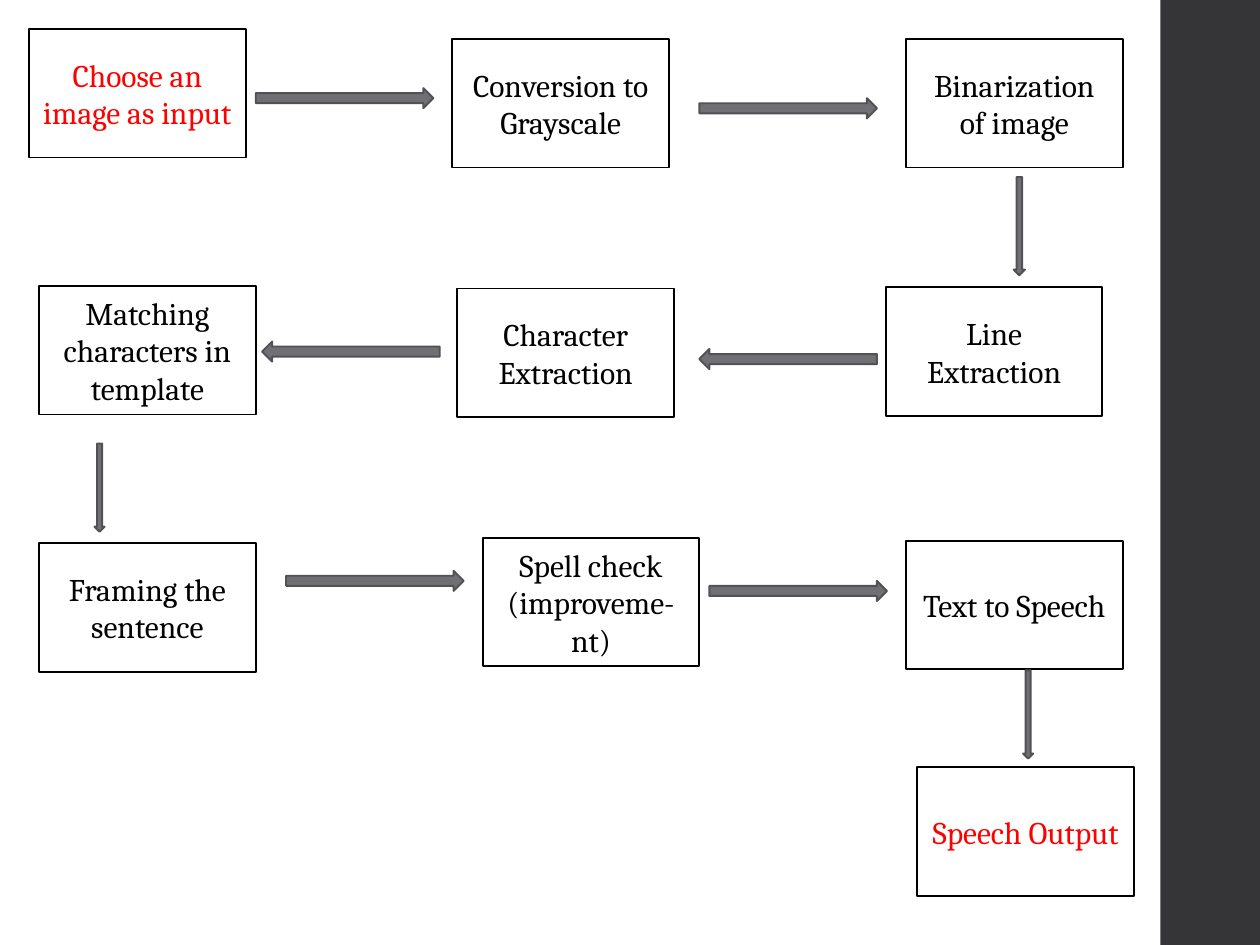
from pptx import Presentation
from pptx import util as u
from pptx.dml.color import RGBColor
from pptx.enum import shapes, text

WIDTH, HEIGHT = u.Inches(10), u.Inches(7.5)
BOX_SIZE = (17.2, 13.6)
LONG, SHORT, ENTRY = (14.1, 2.13), (7, 1.07), (7.8, 1.2)
RIGHT, DOWN, LEFT = 0, 90, 180
BLACK, RED = "000000", "FF0000"

STEPS = [
    (2.3, 3.07, ["Choose an image as input"], RED),
    (35.9, 4.13, ["Conversion to Grayscale"], BLACK),
    (71.9, 4.13, ["Binarization of image"], BLACK),
    (70.3, 30.4, ["Line Extraction"], BLACK),
    (36.3, 30.53, ["Character Extraction"], BLACK),
    (3.1, 30.27, ["Matching characters in template"], BLACK),
    (3.1, 57.47, ["Framing the sentence"], BLACK),
    (38.3, 56.93, ["Spell check", "(improveme-nt)"], BLACK),
    (71.9, 57.2, ["Text to Speech"], BLACK),
    (72.8, 81.2, ["Speech Output"], RED),
]
ARROWS = [
    (20.3, 9.33, LONG, RIGHT),
    (55.5, 10.4, LONG, RIGHT),
    (77, 23.33, ENTRY, DOWN),
    (55.5, 36.93, LONG, LEFT),
    (20.8, 36.13, LONG, LEFT),
    (4.4, 51.07, SHORT, DOWN),
    (22.7, 60.4, LONG, RIGHT),
    (56.3, 61.47, LONG, RIGHT),
    (78.1, 75.07, SHORT, DOWN),
]


def color(value):
    """Turn a hex string into a colour."""
    return RGBColor.from_string(value)


def add_shape(s, kind, x, y, size, fill, line=None):
    """Add a flat shape placed in percent of the slide's width and height."""
    w, h = size
    sp = s.shapes.add_shape(
        kind, int(WIDTH * x / 100), int(HEIGHT * y / 100),
        int(WIDTH * w / 100), int(HEIGHT * h / 100))
    sp.shadow.inherit = False
    sp.fill.solid()
    sp.fill.fore_color.rgb = color(fill)
    if line:
        sp.line.color.rgb = color(line)
        sp.line.width = u.Pt(1.1)
    else:
        sp.line.fill.background()
    return sp


def add_step(s, x, y, lines, font_color):
    """Add one process box with centred text."""
    sp = add_shape(s, shapes.MSO_SHAPE.RECTANGLE, x, y, BOX_SIZE, "FFFFFF", BLACK)
    tf = sp.text_frame
    tf.word_wrap = True
    tf.vertical_anchor = text.MSO_ANCHOR.MIDDLE
    for i, line in enumerate(lines):
        p = tf.add_paragraph() if i else tf.paragraphs[0]
        p.alignment = text.PP_ALIGN.CENTER
        r = p.add_run()
        r.text = line
        r.font.name = "Cambria"
        r.font.size = u.Pt(18)
        r.font.color.rgb = color(font_color)


def add_arrow(s, x, y, size, angle):
    """Add one block arrow turned to its direction."""
    sp = add_shape(s, shapes.MSO_SHAPE.RIGHT_ARROW, x, y, size, "6F6F74", "525256")
    sp.rotation = angle


def main():
    """Build the process flow slide."""
    prs = Presentation()
    prs.slide_width, prs.slide_height = WIDTH, HEIGHT
    s = prs.slides.add_slide(prs.slide_layouts[6])
    add_shape(s, shapes.MSO_SHAPE.RECTANGLE, 92.1, 0, (7.9, 100), "353537")
    for step in STEPS:
        add_step(s, *step)
    for arrow in ARROWS:
        add_arrow(s, *arrow)
    prs.save("out.pptx")


if __name__ == "__main__":
    main()
